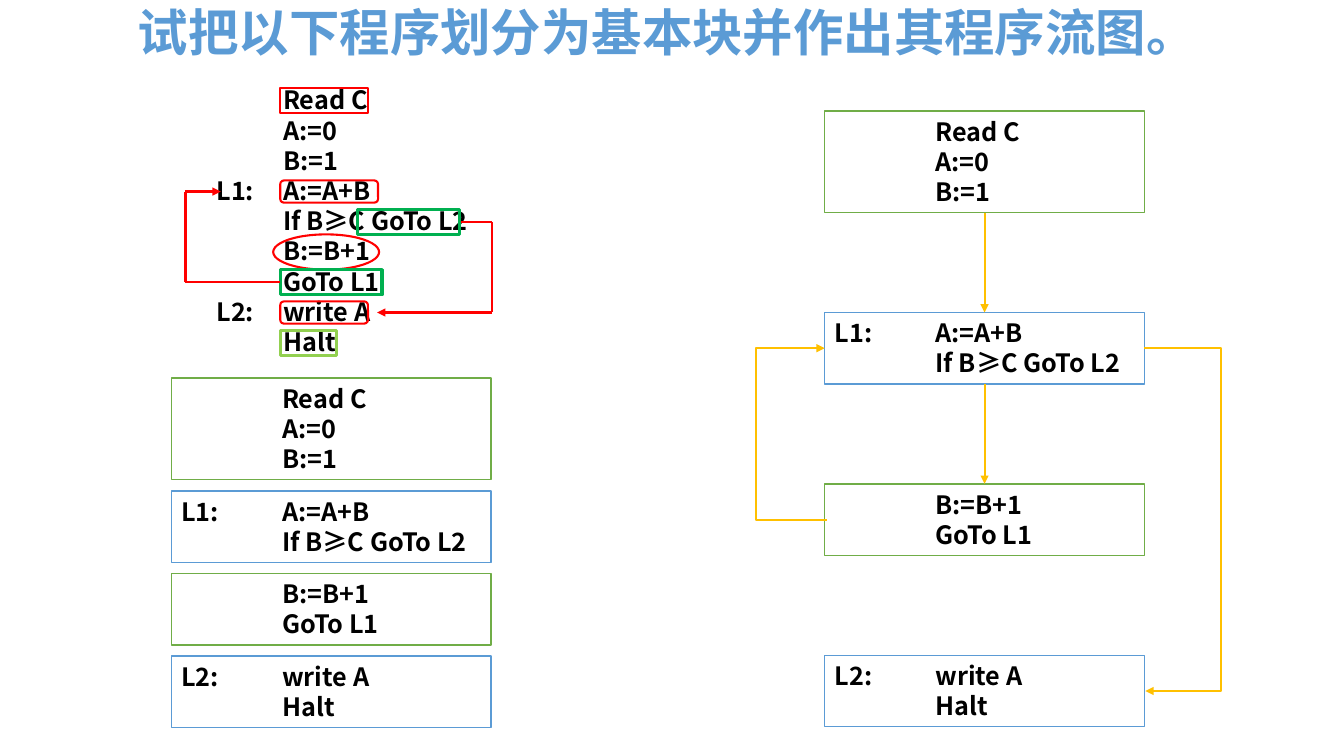
from dataclasses import dataclass
from itertools import pairwise

from lxml.etree import SubElement
from pptx import Presentation
from pptx.dml.color import RGBColor
from pptx.enum.shapes import MSO_CONNECTOR as Connector, MSO_SHAPE as Shape
from pptx.enum.text import MSO_ANCHOR as Anchor, PP_ALIGN as Align
from pptx.oxml.ns import qn
from pptx.util import Inches, Pt


@dataclass(frozen=True)
class Theme:
    font: str = "Noto Sans CJK SC"
    black: str = "000000"
    white: str = "FFFFFF"
    blue: str = "5B9BD5"
    green: str = "70AD47"
    red: str = "FF0000"
    jump: str = "00B050"
    halt: str = "92D050"
    amber: str = "FFC000"
    title_size: int = 36
    code_size: int = 18
    line_factor: float = 1.2


theme = Theme()
presentation = Presentation()
presentation.slide_width = Inches(13.33)
presentation.slide_height = Inches(7.5)
slide = presentation.slides.add_slide(presentation.slide_layouts[6])


def write(shape, lines, size, color, label_indent=0):
    frame = shape.text_frame
    frame.word_wrap = True
    frame.vertical_anchor = Anchor.TOP
    for index, line in enumerate(lines):
        paragraph = frame.paragraphs[0] if index == 0 else frame.add_paragraph()
        paragraph.alignment = Align.LEFT
        paragraph.line_spacing = Pt(size * theme.line_factor)
        labelled = label_indent and not line.startswith("\t")
        tabs = SubElement(paragraph._p.get_or_add_pPr(), qn("a:tabLst"))
        for stop in (label_indent, 1) if labelled else (1,):
            SubElement(tabs, qn("a:tab"), pos=str(Inches(stop)), algn="l")
        run = paragraph.add_run()
        run.text = "\t" + line if labelled else line
        run.font.name = theme.font
        run.font.size = Pt(size)
        run.font.bold = True
        run.font.color.rgb = RGBColor.from_string(color)
        SubElement(run._r.get_or_add_rPr(), qn("a:ea"), typeface=theme.font)


def connect(start, end, color, arrow=False, bend=None):
    kind = Connector.STRAIGHT if bend is None else Connector.ELBOW
    connector = slide.shapes.add_connector(kind, *map(Inches, start + end))
    connector.line.color.rgb = RGBColor.from_string(color)
    connector.line.width = Pt(1.5)
    if bend is not None:
        share = round((bend - start[0]) / (end[0] - start[0]) * 100000)
        guides = connector._element.spPr.find(qn("a:prstGeom")).get_or_add_avLst()
        SubElement(guides, qn("a:gd"), name="adj1", fmla=f"val {share}")
    if arrow:
        SubElement(connector.line._get_or_add_ln(), qn("a:tailEnd"), type="triangle")
    SubElement(connector._element.spPr, qn("a:effectLst"))


row = 0.3
padding = 0.05
block_width = 3.17
left_column, right_column = 1.7, 8.18

blocks = [
    (["\tRead C", "\tA:=0", "\tB:=1"], theme.green),
    (["L1:\tA:=A+B", "\tIf B≥C GoTo L2"], theme.blue),
    (["\tB:=B+1", "\tGoTo L1"], theme.green),
    (["L2:\twrite A", "\tHalt"], theme.blue),
]

program_left, program_top = 1.71, 0.79
program = [line for lines, _ in blocks for line in lines]
program_box = slide.shapes.add_textbox(
    Inches(program_left), Inches(program_top), Inches(block_width), Inches(2.83))
write(program_box, program, theme.code_size, theme.black, label_indent=0.34)

first_center = program_top + padding + 0.01 + row / 2
row_centers = [first_center + row * index for index in range(len(program))]
code_left = 2.78
marks = [
    (0, Shape.RECTANGLE, code_left, 0.87, 0.25, theme.red, 1.5),
    (3, Shape.ROUNDED_RECTANGLE, code_left, 0.97, 0.22, theme.red, 1.5),
    (4, Shape.RECTANGLE, 3.55, 1.01, 0.25, theme.jump, 2.25),
    (5, Shape.OVAL, 2.71, 1.05, 0.35, theme.red, 1.5),
    (6, Shape.RECTANGLE, code_left, 1.01, 0.25, theme.jump, 2.25),
    (7, Shape.ROUNDED_RECTANGLE, code_left, 0.87, 0.22, theme.red, 1.5),
    (8, Shape.RECTANGLE, code_left, 0.56, 0.25, theme.halt, 2.25),
]
for index, kind, left, width, height, color, weight in marks:
    mark = slide.shapes.add_shape(
        kind, Inches(left), Inches(row_centers[index] - height / 2),
        Inches(width), Inches(height))
    mark.shadow.inherit = False
    mark.fill.background()
    mark.line.color.rgb = RGBColor.from_string(color)
    mark.line.width = Pt(weight)

jumps = [(4, 7, 4.57, 4.88, 3.74), (6, 3, code_left, 1.84, 2.19)]
for source, target, start, turn, end in jumps:
    points = [(start, row_centers[source]), (turn, row_centers[source]),
              (turn, row_centers[target]), (end, row_centers[target])]
    for index, (first, second) in enumerate(pairwise(points)):
        connect(first, second, theme.red, arrow=index == 2)

flow = []
for left, top, gap in [(left_column, 3.75, 0.11), (right_column, 1.1, 0.99)]:
    for lines, color in blocks:
        height = row * len(lines) + 2 * padding + 0.01
        block = slide.shapes.add_shape(
            Shape.RECTANGLE, Inches(left), Inches(top), Inches(block_width), Inches(height))
        block.shadow.inherit = False
        block.fill.solid()
        block.fill.fore_color.rgb = RGBColor.from_string(theme.white)
        block.line.color.rgb = RGBColor.from_string(color)
        block.line.width = Pt(1)
        write(block, lines, theme.code_size, theme.black)
        if left == right_column:
            flow.append((top, top + height / 2, top + height))
        top += height + gap

read, test, step, finish = flow
center = right_column + block_width / 2
right_edge = right_column + block_width
connect((center, read[2]), (center, test[0]), theme.amber, arrow=True)
connect((center, test[2]), (center, step[0]), theme.amber, arrow=True)
connect((right_edge, test[1]), (right_edge + 0.01, finish[1]), theme.amber, True, bend=12.12)
connect((right_column + 0.02, step[1]), (right_column, test[1]), theme.amber, True, bend=7.5)

title = slide.shapes.add_textbox(Inches(1.27), Inches(-0.04), Inches(10.8), Inches(0.71))
write(title, ["试把以下程序划分为基本块并作出其程序流图。"], theme.title_size, theme.blue)

presentation.save("out.pptx")
